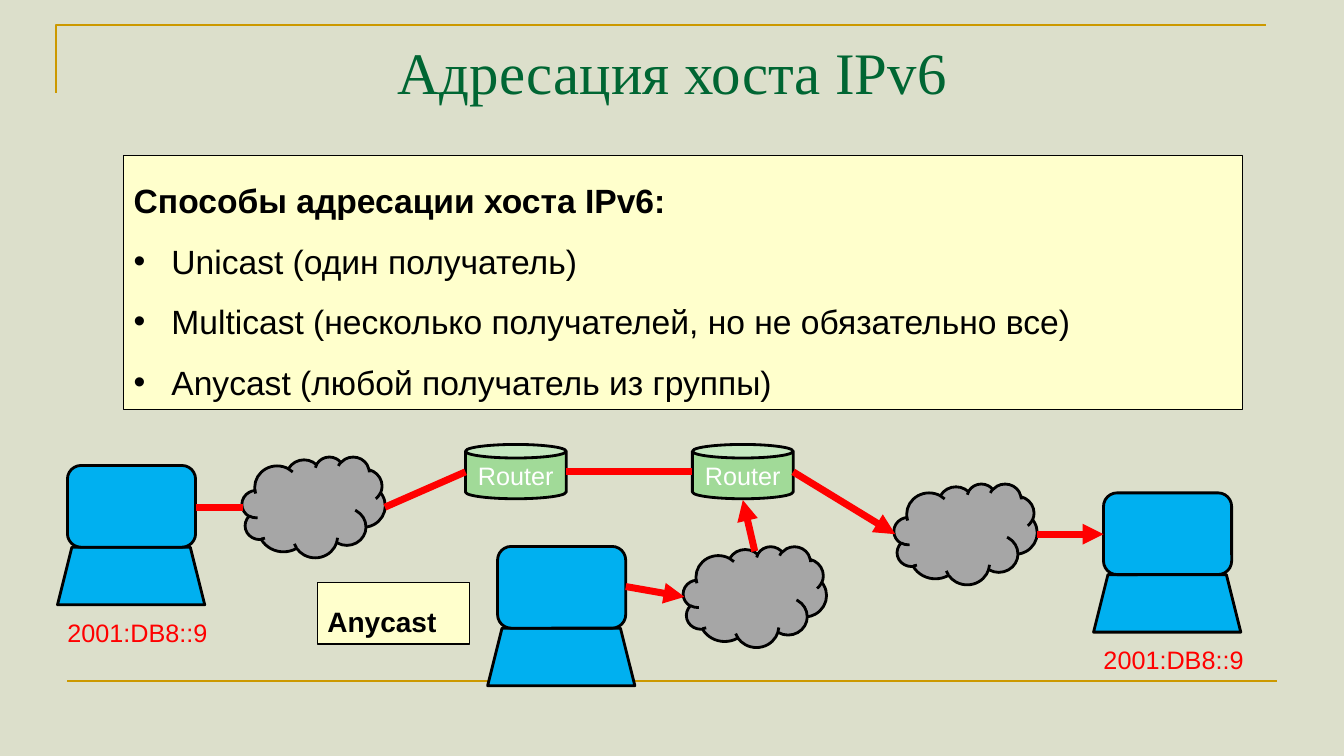
from typing import NamedTuple

from lxml import etree
from pptx import Presentation
from pptx.dml.color import RGBColor
from pptx.enum.shapes import MSO_CONNECTOR, MSO_SHAPE
from pptx.enum.text import MSO_ANCHOR, MSO_AUTO_SIZE, PP_ALIGN
from pptx.oxml.ns import qn
from pptx.util import Cm, Pt

STRAIGHT = MSO_CONNECTOR.STRAIGHT
RECT, CLOUD, CAN = MSO_SHAPE.RECTANGLE, MSO_SHAPE.CLOUD, MSO_SHAPE.CAN
TRAPEZOID, ROUNDED = MSO_SHAPE.TRAPEZOID, MSO_SHAPE.ROUNDED_RECTANGLE
TOP, MIDDLE = MSO_ANCHOR.TOP, MSO_ANCHOR.MIDDLE
LEFT, CENTER = PP_ALIGN.LEFT, PP_ALIGN.CENTER
FIT_SHAPE = MSO_AUTO_SIZE.SHAPE_TO_FIT_TEXT

COLORS = {
    "background": "DCDFCB",
    "gold": "CC9900",
    "title": "006633",
    "note": "FFFFCC",
    "black": "000000",
    "white": "FFFFFF",
    "cloud": "A6A6A6",
    "router": "A1DA98",
    "laptop": "00B0F0",
    "red": "FF0000",
}


class Spot(NamedTuple):
    x: float
    y: float


class Link(NamedTuple):
    start: Spot
    end: Spot
    arrow: bool = False


class Note(NamedTuple):
    spot: Spot
    width: float
    height: float
    size: int
    heading: str
    bullets: tuple[str, ...] = ()


CLOUDS = [Spot(6.1, 11.51), Spot(22.53, 12.19), Spot(17.22, 13.77)]
ROUTERS = [Spot(11.73, 11.2), Spot(17.45, 11.2)]
LAPTOPS = [Spot(1.45, 11.73), Spot(27.56, 12.42), Spot(12.29, 13.77)]
ADDRESSES = [Spot(1.45, 15.42), Spot(27.56, 16.1)]
LINKS = [
    Link(Spot(4.93, 12.78), Spot(6.12, 12.78)),
    Link(Spot(9.7, 12.78), Spot(11.73, 11.89)),
    Link(Spot(14.27, 11.89), Spot(17.45, 11.89)),
    Link(Spot(19.99, 11.89), Spot(22.56, 13.46), arrow=True),
    Link(Spot(26.14, 13.46), Spot(27.81, 13.46), arrow=True),
    Link(Spot(19.02, 13.89), Spot(18.72, 12.6), arrow=True),
    Link(Spot(15.77, 14.78), Spot(17.25, 15.04), arrow=True),
]
NOTES = [
    Note(Spot(3.12, 3.91), 28.19, 6.4, 24, "Способы адресации хоста IPv6:", (
        "Unicast (один получатель)",
        "Multicast (несколько получателей, но не обязательно все)",
        "Anycast (любой получатель из группы)",
    )),
    Note(Spot(8, 14.68), 3.84, 1.55, 20, "Anycast"),
]


def rgb(name: str) -> RGBColor:
    return RGBColor.from_string(COLORS[name])


def style_line(line, color: str, width: float) -> None:
    line.color.rgb = rgb(color)
    line.width = Pt(width)


def style_runs(p, size: int, color: str, font: str = "Arial", bold: bool = False) -> None:
    for r in p.runs:
        r.font.name = font
        r.font.size = Pt(size)
        r.font.bold = bold
        r.font.color.rgb = rgb(color)


def add_bullet(p) -> None:
    pPr = p._p.get_or_add_pPr()
    pPr.set("marL", str(Cm(0.95)))
    pPr.set("indent", str(Cm(-0.95)))
    etree.SubElement(pPr, qn("a:buFont"), typeface="Arial")
    etree.SubElement(pPr, qn("a:buChar"), char="•")


def add_shape(s, kind, spot: Spot, width: float, height: float, fill: str, line: float = 2):
    sp = s.shapes.add_shape(kind, Cm(spot.x), Cm(spot.y), Cm(width), Cm(height))
    sp.shadow.inherit = False
    sp.fill.solid()
    sp.fill.fore_color.rgb = rgb(fill)
    style_line(sp.line, "black", line)
    return sp


def add_line(s, link: Link, color: str, width: float) -> None:
    line = s.shapes.add_connector(STRAIGHT, *map(Cm, link.start + link.end))
    style_line(line.line, color, width)
    if link.arrow:
        etree.SubElement(line.line._get_or_add_ln(), qn("a:tailEnd"), type="triangle")
    etree.SubElement(line._element.spPr, qn("a:effectLst"))


def add_frame(s) -> None:
    """Draw the gold corner at the top and the rule at the bottom."""
    builder = s.shapes.build_freeform(Cm(1.42), Cm(2.34))
    builder.add_line_segments([(Cm(1.42), Cm(0.64)), (Cm(31.9), Cm(0.64))], close=False)
    corner = builder.convert_to_shape()
    corner.shadow.inherit = False
    corner.fill.background()
    style_line(corner.line, "gold", 1.5)
    add_line(s, Link(Spot(1.7, 17.15), Spot(32.18, 17.15)), "gold", 1.5)


def add_title(s, text: str) -> None:
    title = s.shapes.title
    title.left, title.top, title.width, title.height = Cm(1.7), Cm(0.76), Cm(30.48), Cm(3.18)
    tf = title.text_frame
    tf.text = text
    tf.vertical_anchor = TOP
    p = tf.paragraphs[0]
    p.alignment = CENTER
    style_runs(p, 42, "title", font="Times New Roman")


def add_note(s, note: Note) -> None:
    sp = add_shape(s, RECT, note.spot, note.width, note.height, "note", line=0.75)
    tf = sp.text_frame
    tf.text = "\n".join((note.heading, *note.bullets))
    tf.word_wrap = True
    tf.auto_size = FIT_SHAPE
    tf.vertical_anchor = TOP
    for i, p in enumerate(tf.paragraphs):
        if i > 0:
            add_bullet(p)
        p.alignment = LEFT
        p.line_spacing = 1.5
        style_runs(p, note.size, "black", bold=i == 0)


def add_router(s, spot: Spot) -> None:
    tf = add_shape(s, CAN, spot, 2.54, 1.37, "router").text_frame
    tf.text = "Router"
    tf.vertical_anchor = MIDDLE
    p = tf.paragraphs[0]
    p.alignment = CENTER
    style_runs(p, 18, "white")


def add_laptop(s, spot: Spot) -> None:
    add_shape(s, TRAPEZOID, Spot(spot.x, spot.y + 2.06), 3.71, 1.45, "laptop")
    add_shape(s, ROUNDED, Spot(spot.x + 0.25, spot.y), 3.23, 2.06, "laptop")


def add_address(s, spot: Spot) -> None:
    tf = s.shapes.add_textbox(Cm(spot.x), Cm(spot.y), Cm(4.06), Cm(1.02)).text_frame
    tf.text = "2001:DB8::9"
    tf.word_wrap = False
    tf.auto_size = FIT_SHAPE
    style_runs(tf.paragraphs[0], 18, "red")


def main() -> None:
    prs = Presentation()
    prs.slide_width, prs.slide_height = Cm(33.87), Cm(19.05)
    s = prs.slides.add_slide(prs.slide_layouts[5])
    s.background.fill.solid()
    s.background.fill.fore_color.rgb = rgb("background")
    add_frame(s)
    add_title(s, "Адресация хоста IPv6")
    for spot in CLOUDS:
        add_shape(s, CLOUD, spot, 3.61, 2.54, "cloud")
    for spot in ROUTERS:
        add_router(s, spot)
    for spot in LAPTOPS:
        add_laptop(s, spot)
    for spot in ADDRESSES:
        add_address(s, spot)
    for link in LINKS:
        add_line(s, link, "red", 5)
    for note in NOTES:
        add_note(s, note)
    prs.save("out.pptx")


if __name__ == "__main__":
    main()
